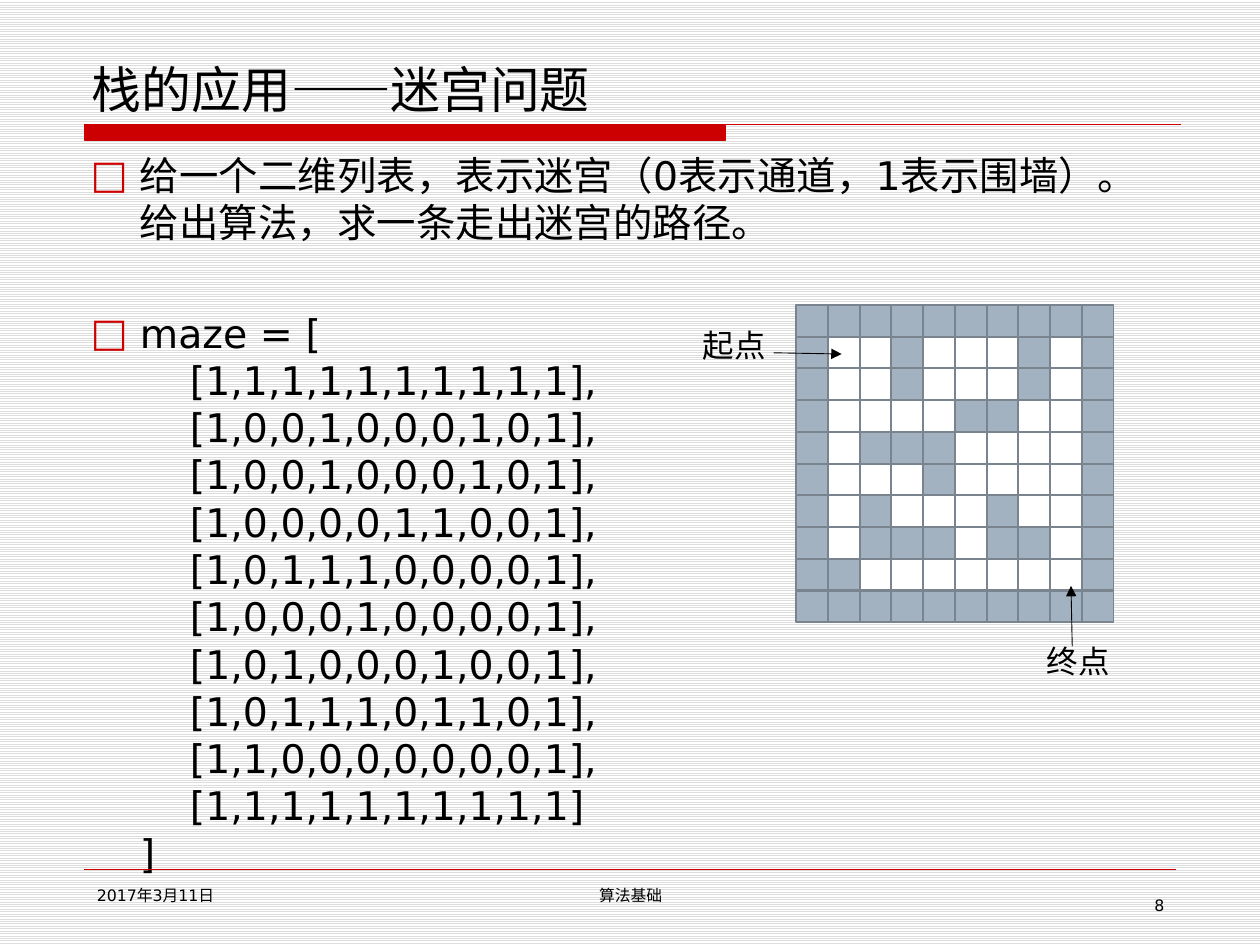
"""Build the maze problem slide of a lecture on stacks."""
from dataclasses import dataclass

from lxml.etree import SubElement
from pptx import Presentation
from pptx.dml.color import RGBColor
from pptx.enum.dml import MSO_PATTERN
from pptx.enum.shapes import MSO_CONNECTOR, MSO_SHAPE
from pptx.enum.text import MSO_ANCHOR, MSO_AUTO_SIZE, PP_ALIGN
from pptx.oxml.ns import qn
from pptx.util import Inches, Pt


@dataclass(frozen=True)
class Theme:
    font: str = "DejaVu Sans"
    text: str = "000000"
    accent: str = "CC0000"
    stripe: str = "DDDDDD"
    paper: str = "FFFFFF"
    wall: str = "A3B2C1"
    passage: str = "FFFFFF"
    edge: str = "79848F"
    title_size: float = 28.5
    body_size: float = 22.5
    line_pitch: float = 27
    label_size: float = 18
    footer_size: float = 9


THEME = Theme()

TITLE = "栈的应用——迷宫问题"
TASK = "给一个二维列表，表示迷宫（0表示通道，1表示围墙）。给出算法，求一条走出迷宫的路径。"
MAZE = [
    [1, 1, 1, 1, 1, 1, 1, 1, 1, 1],
    [1, 0, 0, 1, 0, 0, 0, 1, 0, 1],
    [1, 0, 0, 1, 0, 0, 0, 1, 0, 1],
    [1, 0, 0, 0, 0, 1, 1, 0, 0, 1],
    [1, 0, 1, 1, 1, 0, 0, 0, 0, 1],
    [1, 0, 0, 0, 1, 0, 0, 0, 0, 1],
    [1, 0, 1, 0, 0, 0, 1, 0, 0, 1],
    [1, 0, 1, 1, 1, 0, 1, 1, 0, 1],
    [1, 1, 0, 0, 0, 0, 0, 0, 0, 1],
    [1, 1, 1, 1, 1, 1, 1, 1, 1, 1],
]
FOOTERS = [
    ("2017年3月11日", (0.67, 6.98, 2.17, 0.37), PP_ALIGN.LEFT),
    ("算法基础", (3.42, 6.98, 3.17, 0.37), PP_ALIGN.CENTER),
    ("8", (7.17, 7.06, 2.17, 0.29), PP_ALIGN.RIGHT),
]
LABELS = [
    ("起点", (5.48, 2.54, 0.72, 0.4)),
    ("终点", (8.21, 5.05, 0.72, 0.4)),
]
ARROWS = [((6.14, 2.8), (6.68, 2.81)), ((8.51, 5.13), (8.5, 4.65))]
GRID_LEFT, GRID_TOP, GRID_SPAN, CELL = 6.32, 2.42, 2.52, 0.25


def color(value):
    return RGBColor.from_string(value)


def place(shape, area):
    shape.left, shape.top, shape.width, shape.height = map(Inches, area)


def style(paragraph, size):
    for span in paragraph.runs:
        span.font.name = THEME.font
        span.font.size = Pt(size)
        span.font.color.rgb = color(THEME.text)


def add_label(page, text, area, size, align=PP_ALIGN.LEFT):
    box = page.shapes.add_textbox(*map(Inches, area))
    box.text_frame.word_wrap = True
    paragraph = box.text_frame.paragraphs[0]
    paragraph.text = text
    paragraph.alignment = align
    style(paragraph, size)


def add_line(page, start, end, line_color, width, arrow=False):
    line = page.shapes.add_connector(
        MSO_CONNECTOR.STRAIGHT, *map(Inches, (*start, *end)))
    line.line.color.rgb = color(line_color)
    line.line.width = Pt(width)
    if arrow:
        SubElement(line.line._get_or_add_ln(), qn("a:tailEnd"), type="triangle")
    SubElement(line._element.spPr, qn("a:effectLst"))


def add_header_rule(page):
    left, bar_right, right, top, bottom = map(Inches, (0.67, 5.76, 9.37, 0.99, 1.11))
    builder = page.shapes.build_freeform(left, top)
    builder.add_line_segments([(bar_right, top), (bar_right, bottom), (left, bottom)])
    builder.move_to(left, top)
    builder.add_line_segments([(right, top)], close=False)
    rule = builder.convert_to_shape()
    rule.shadow.inherit = False
    rule.fill.solid()
    rule.fill.fore_color.rgb = color(THEME.accent)
    rule.line.color.rgb = color(THEME.accent)
    rule.line.width = Pt(0.75)


def fill_title(page):
    title = page.shapes.title
    place(title, (0.63, 0.33, 8.75, 0.66))
    frame = title.text_frame
    frame.auto_size = MSO_AUTO_SIZE.NONE
    frame.vertical_anchor = MSO_ANCHOR.BOTTOM
    paragraph = frame.paragraphs[0]
    paragraph.text = TITLE
    paragraph.alignment = PP_ALIGN.LEFT
    style(paragraph, THEME.title_size)


def fill_body(page):
    rows = ",\n".join("    [" + ",".join(map(str, row)) + "]" for row in MAZE)
    items = [(TASK, 0), (f"maze = [\n{rows}\n]", 36)]
    body = page.placeholders[1]
    place(body, (0.62, 1.15, 8.75, 5.57))
    frame = body.text_frame
    frame.auto_size = MSO_AUTO_SIZE.NONE
    for index, (text, space) in enumerate(items):
        paragraph = frame.paragraphs[0] if index == 0 else frame.add_paragraph()
        paragraph.text = text
        paragraph.space_before = Pt(space)
        paragraph.line_spacing = Pt(THEME.line_pitch)
        properties = paragraph._p.get_or_add_pPr()
        properties.set("marL", str(Inches(0.39)))
        properties.set("indent", str(-Inches(0.39)))
        bullet_color = SubElement(properties, qn("a:buClr"))
        SubElement(bullet_color, qn("a:srgbClr"), val=THEME.accent)
        SubElement(properties, qn("a:buFont"), typeface=THEME.font)
        SubElement(properties, qn("a:buChar"), char="□")
        paragraph.font.size = Pt(THEME.body_size)
        style(paragraph, THEME.body_size)


def add_maze(page):
    step = GRID_SPAN / len(MAZE)
    for row, values in enumerate(MAZE):
        for column, is_wall in enumerate(values):
            area = (GRID_LEFT + column * step, GRID_TOP + row * step, CELL, CELL)
            cell = page.shapes.add_shape(MSO_SHAPE.RECTANGLE, *map(Inches, area))
            cell.shadow.inherit = False
            cell.fill.solid()
            cell.fill.fore_color.rgb = color(THEME.wall if is_wall else THEME.passage)
            cell.line.color.rgb = color(THEME.edge)
            cell.line.width = Pt(1)


def main():
    deck = Presentation()
    deck.slide_width, deck.slide_height = Inches(10), Inches(7.5)
    page = deck.slides.add_slide(deck.slide_layouts[1])
    background = page.background.fill
    background.patterned()
    background.pattern = MSO_PATTERN.LIGHT_HORIZONTAL
    background.fore_color.rgb = color(THEME.stripe)
    background.back_color.rgb = color(THEME.paper)

    add_header_rule(page)
    add_line(page, (0.67, 6.9), (9.33, 6.9), THEME.accent, 0.25)
    fill_title(page)
    fill_body(page)
    for text, area, align in FOOTERS:
        add_label(page, text, area, THEME.footer_size, align)
    add_maze(page)
    for start, end in ARROWS:
        add_line(page, start, end, THEME.text, 0.5, arrow=True)
    for text, area in LABELS:
        add_label(page, text, area, THEME.label_size)
    deck.save("out.pptx")


if __name__ == "__main__":
    main()
